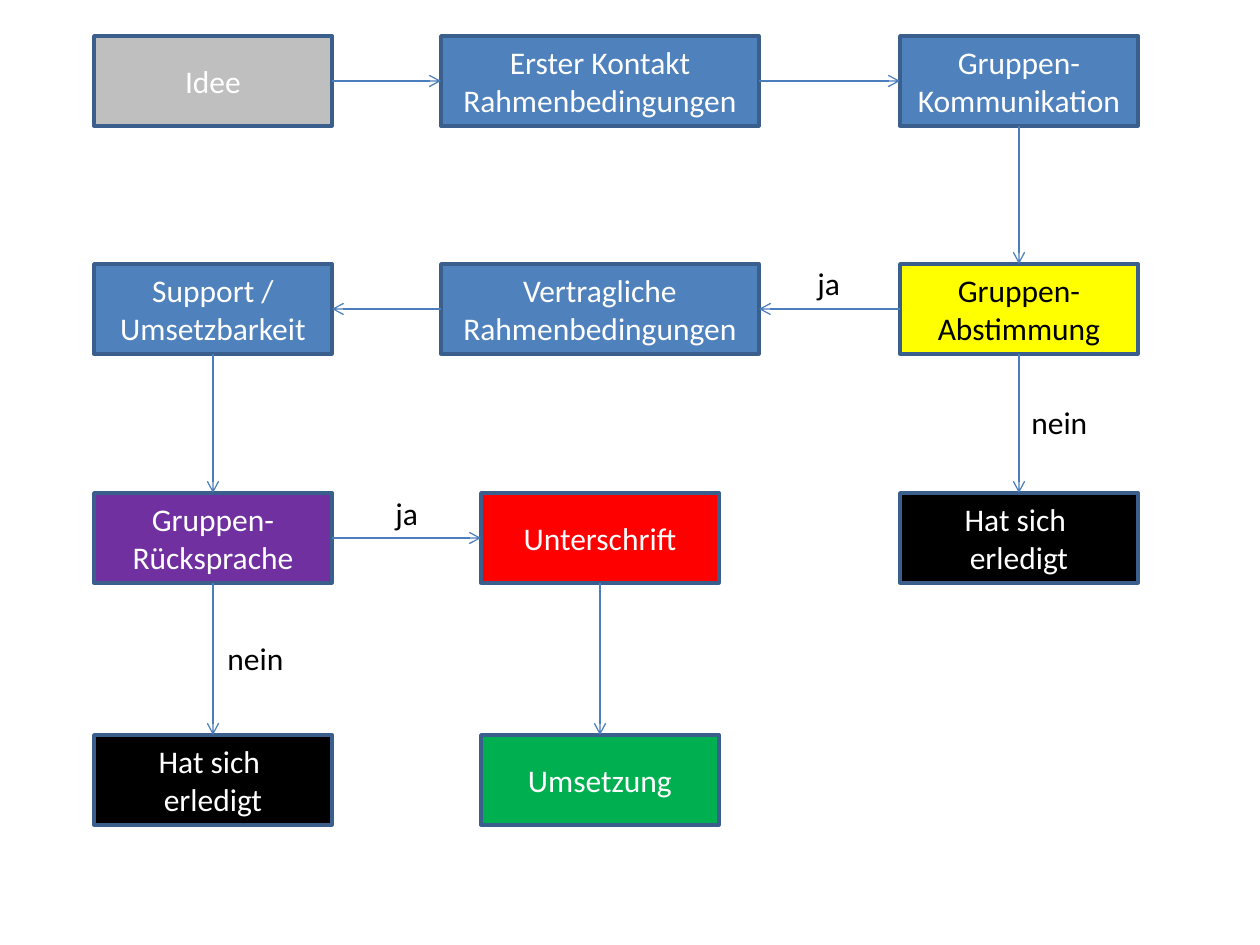
from lxml import etree
from pptx import Presentation
from pptx.dml.color import RGBColor
from pptx.enum.shapes import MSO_CONNECTOR, MSO_SHAPE
from pptx.enum.text import MSO_ANCHOR, PP_ALIGN
from pptx.oxml.ns import qn
from pptx.util import Inches, Pt

RECTANGLE = MSO_SHAPE.RECTANGLE
STRAIGHT = MSO_CONNECTOR.STRAIGHT
MIDDLE = MSO_ANCHOR.MIDDLE
CENTER, LEFT = PP_ALIGN.CENTER, PP_ALIGN.LEFT

SCALE = Inches(1) // 126
COLORS = {
    "grey": "BFBFBF", "blue": "4F81BD", "yellow": "FFFF00", "purple": "7030A0",
    "red": "FF0000", "green": "00B050", "black": "000000", "white": "FFFFFF",
    "border": "3A5F8C", "arrow": "4B7EBC",
}
COLUMN_CENTERS = [213, 600, 1019]
ROW_TOPS = [36, 264, 493, 735]
BOX_HEIGHT = 90
NARROW, WIDE = 238, 318
TOP_SIDE, LEFT_SIDE, BOTTOM_SIDE, RIGHT_SIDE = range(4)


def color(name):
    """Return the named colour of the palette."""
    return RGBColor.from_string(COLORS[name])


def write(shape, lines, color_name, alignment):
    """Fill a shape with one paragraph per line."""
    frame = shape.text_frame
    frame.text = "\n".join(lines)
    for para in frame.paragraphs:
        para.alignment = alignment
        para.font.name = "Calibri"
        para.font.size = Pt(18)
        para.font.color.rgb = color(color_name)


deck = Presentation()
deck.slide_width, deck.slide_height = Inches(10), Inches(7.5)
page = deck.slides.add_slide(deck.slide_layouts[6])

# Steps: key, column, row, width, fill, text colour, lines
steps = [
    ("idea", 0, 0, NARROW, "grey", "white", ["Idee"]),
    ("contact", 1, 0, WIDE, "blue", "white", ["Erster Kontakt", "Rahmenbedingungen"]),
    ("talk", 2, 0, NARROW, "blue", "white", ["Gruppen-", "Kommunikation"]),
    ("vote", 2, 1, NARROW, "yellow", "black", ["Gruppen-", "Abstimmung"]),
    ("contract", 1, 1, WIDE, "blue", "white", ["Vertragliche", "Rahmenbedingungen"]),
    ("support", 0, 1, NARROW, "blue", "white", ["Support / Umsetzbarkeit"]),
    ("review", 0, 2, NARROW, "purple", "white", ["Gruppen-Rücksprache"]),
    ("signature", 1, 2, NARROW, "red", "white", ["Unterschrift"]),
    ("realisation", 1, 3, NARROW, "green", "white", ["Umsetzung"]),
    ("vote_end", 2, 2, NARROW, "black", "white", ["Hat sich ", "erledigt"]),
    ("review_end", 0, 3, NARROW, "black", "white", ["Hat sich ", "erledigt"]),
]
boxes = {}
for key, column, row, width, fill, text_color, lines in steps:
    left = COLUMN_CENTERS[column] - width // 2
    box = page.shapes.add_shape(RECTANGLE, left * SCALE, ROW_TOPS[row] * SCALE,
                                width * SCALE, BOX_HEIGHT * SCALE)
    box.shadow.inherit = False
    box.fill.solid()
    box.fill.fore_color.rgb = color(fill)
    box.line.color.rgb = color("border")
    box.line.width = Pt(2)
    box.text_frame.vertical_anchor = MIDDLE
    write(box, lines, text_color, CENTER)
    boxes[key] = box

# Arrows: from, side it leaves, to, side it reaches
arrows = [
    ("idea", RIGHT_SIDE, "contact", LEFT_SIDE),
    ("contact", RIGHT_SIDE, "talk", LEFT_SIDE),
    ("talk", BOTTOM_SIDE, "vote", TOP_SIDE),
    ("vote", LEFT_SIDE, "contract", RIGHT_SIDE),
    ("contract", LEFT_SIDE, "support", RIGHT_SIDE),
    ("support", BOTTOM_SIDE, "review", TOP_SIDE),
    ("review", RIGHT_SIDE, "signature", LEFT_SIDE),
    ("signature", BOTTOM_SIDE, "realisation", TOP_SIDE),
    ("vote", BOTTOM_SIDE, "vote_end", TOP_SIDE),
    ("review", BOTTOM_SIDE, "review_end", TOP_SIDE),
]
for source, source_side, target, target_side in arrows:
    arrow = page.shapes.add_connector(STRAIGHT, 0, 0, 0, 0)
    arrow.begin_connect(boxes[source], source_side)
    arrow.end_connect(boxes[target], target_side)
    arrow.line.color.rgb = color("arrow")
    arrow.line.width = Pt(0.75)
    etree.SubElement(arrow.line._get_or_add_ln(), qn("a:tailEnd"), type="arrow")
    etree.SubElement(arrow._element.spPr, qn("a:effectLst"))

# Answers beside the arrows: text, left, top, width
answers = [("ja", 805, 258, 48), ("nein", 1019, 397, 82),
           ("nein", 215, 633, 82), ("ja", 383, 488, 48)]
for answer, left, top, width in answers:
    label = page.shapes.add_textbox(left * SCALE, top * SCALE, width * SCALE, 50 * SCALE)
    label.text_frame.word_wrap = False
    write(label, [answer], "black", LEFT)

deck.save("out.pptx")
